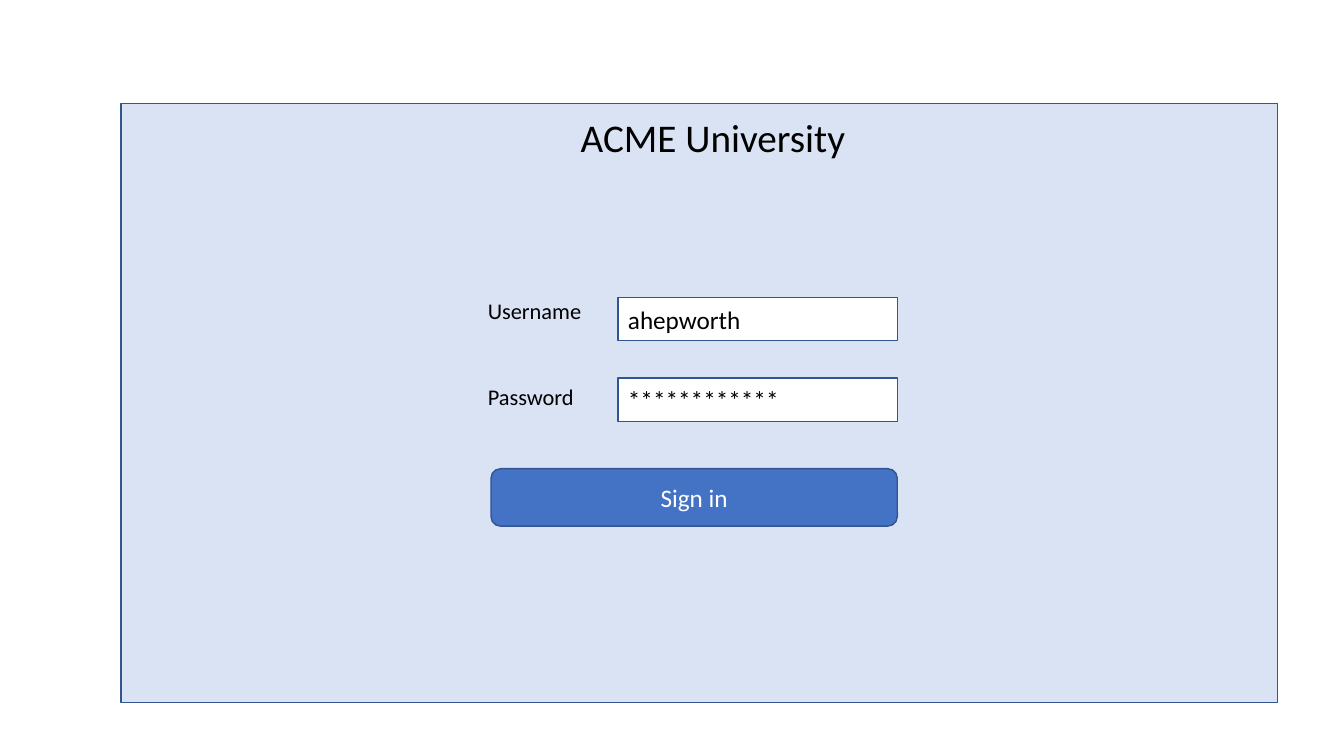
from pptx import Presentation
from pptx.dml.color import RGBColor
from pptx.enum.shapes import MSO_SHAPE
from pptx.enum.text import MSO_ANCHOR, MSO_AUTO_SIZE, PP_ALIGN
from pptx.util import Inches, Pt

RECTANGLE, ROUNDED = MSO_SHAPE.RECTANGLE, MSO_SHAPE.ROUNDED_RECTANGLE
TOP, MIDDLE = MSO_ANCHOR.TOP, MSO_ANCHOR.MIDDLE
LEFT, CENTER = PP_ALIGN.LEFT, PP_ALIGN.CENTER

BLACK = RGBColor(0x00, 0x00, 0x00)
WHITE = RGBColor(0xFF, 0xFF, 0xFF)
PALE_BLUE = RGBColor(0xDA, 0xE3, 0xF3)
BLUE = RGBColor(0x44, 0x72, 0xC4)
DARK_BLUE = RGBColor(0x32, 0x54, 0x91)

# Content: label, its top, its width, and the field's value
TITLE = "ACME University"
FIELDS = [
    ("Username", 2.9, 1.14, "ahepworth"),
    ("Password", 3.75, 1.07, "************"),
]
BUTTON = "Sign in"

# Form grid, in inches
LABEL_LEFT, LABEL_HEIGHT = 4.74, 0.37
FIELD_LEFT, FIELD_TOP, FIELD_WIDTH, FIELD_HEIGHT = 6.13, 2.95, 2.77, 0.43
FIELD_STEP = 0.8
BUTTON_LEFT, BUTTON_TOP, BUTTON_HEIGHT = 4.87, 4.65, 0.57
FORM_RIGHT = FIELD_LEFT + FIELD_WIDTH


def write(shape, text, size=18, color=BLACK, align=LEFT, anchor=MIDDLE, wrap=True):
    frame = shape.text_frame
    frame.auto_size = MSO_AUTO_SIZE.NONE if wrap else MSO_AUTO_SIZE.SHAPE_TO_FIT_TEXT
    frame.word_wrap = wrap
    frame.vertical_anchor = anchor
    paragraph = frame.paragraphs[0]
    paragraph.alignment = align
    paragraph.line_spacing = 1.0
    paragraph.space_before = Pt(0)
    run = paragraph.add_run()
    run.text = text
    run.font.name = "Calibri"
    run.font.size = Pt(size)
    run.font.color.rgb = color


def add_box(slide, kind, left, top, width, height, fill):
    shape = slide.shapes.add_shape(
        kind, Inches(left), Inches(top), Inches(width), Inches(height))
    shape.shadow.inherit = False
    shape.fill.solid()
    shape.fill.fore_color.rgb = fill
    shape.line.color.rgb = DARK_BLUE
    shape.line.width = Pt(1)
    return shape


presentation = Presentation()
presentation.slide_width, presentation.slide_height = Inches(13.33), Inches(7.5)
slide = presentation.slides.add_slide(presentation.slide_layouts[5])

# Panel, placed behind the title
title = slide.shapes.title
panel = add_box(slide, RECTANGLE, 1.2, 1.03, 11.47, 5.94, PALE_BLUE)
title._element.addprevious(panel._element)

# Title
title.left, title.top = Inches(5.66), Inches(1.07)
title.width, title.height = Inches(2.85), Inches(0.57)
write(title, TITLE, size=28, anchor=TOP, wrap=False)

# Labels and fields
for row, (label, label_top, label_width, value) in enumerate(FIELDS):
    field = add_box(slide, RECTANGLE, FIELD_LEFT, FIELD_TOP + row * FIELD_STEP,
                    FIELD_WIDTH, FIELD_HEIGHT, WHITE)
    write(field, value)
    label_box = slide.shapes.add_textbox(
        Inches(LABEL_LEFT), Inches(label_top), Inches(label_width), Inches(LABEL_HEIGHT))
    write(label_box, label, size=16, anchor=TOP, wrap=False)

# Sign-in button, ending flush with the fields
button = add_box(slide, ROUNDED, BUTTON_LEFT, BUTTON_TOP,
                 FORM_RIGHT - BUTTON_LEFT, BUTTON_HEIGHT, BLUE)
write(button, BUTTON, color=WHITE, align=CENTER)

presentation.save("out.pptx")
